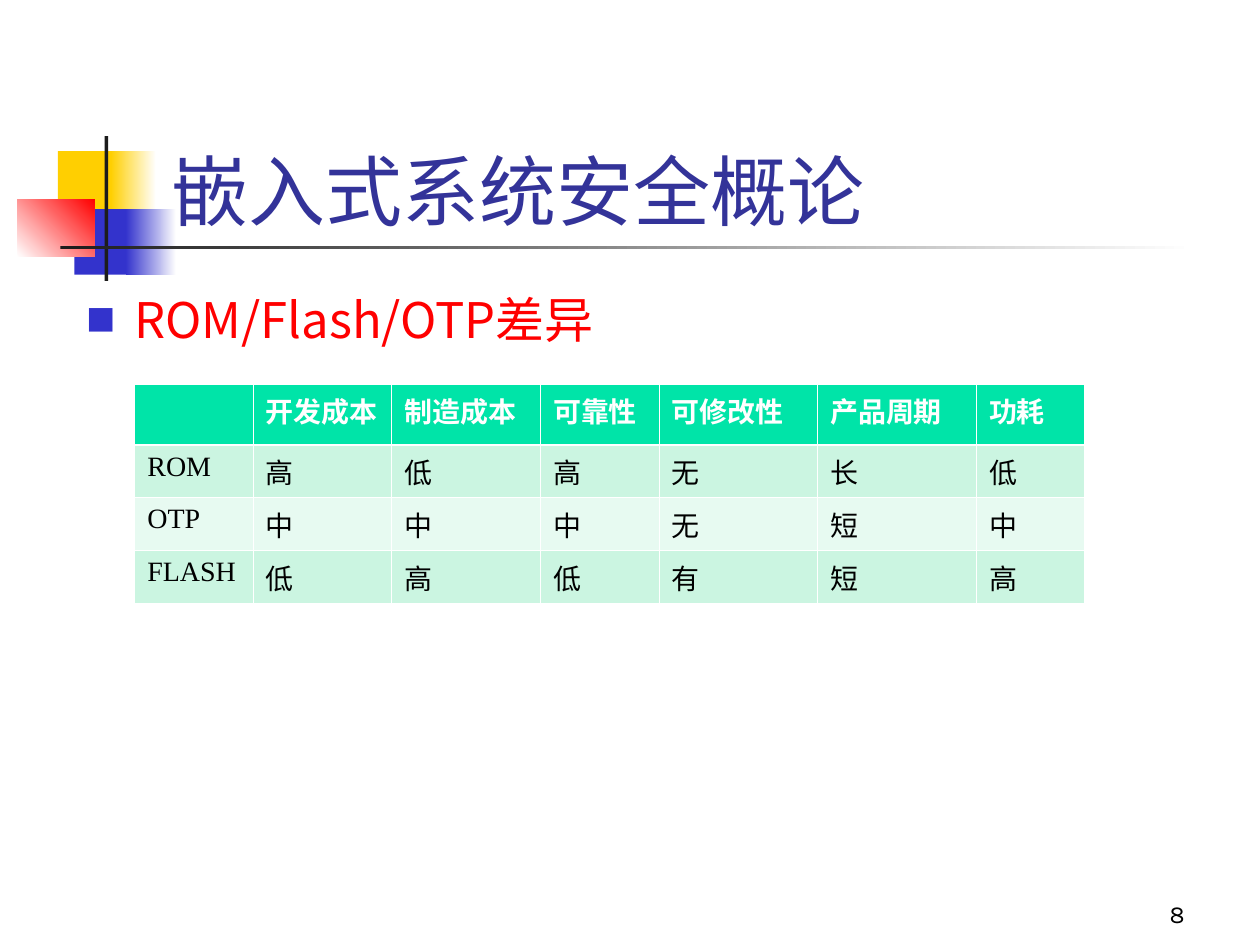
from dataclasses import dataclass

from lxml.etree import SubElement
from pptx import Presentation
from pptx.dml.color import RGBColor
from pptx.enum.shapes import MSO_SHAPE
from pptx.enum.text import MSO_ANCHOR, PP_ALIGN
from pptx.oxml import parse_xml
from pptx.oxml.ns import nsdecls, qn
from pptx.util import Pt

PX = 9144  # EMU per px, 100 px to the inch


@dataclass(frozen=True)
class Theme:
    yellow: str = "FFCF01"
    blue: str = "3333CC"
    red: str = "FF0000"
    dark: str = "1C1C1C"
    white: str = "FFFFFF"
    black: str = "000000"
    title: str = "333399"
    header: str = "00E4A8"
    bands: tuple = ("CBF5E1", "E7FAF1")
    sans: str = "Noto Sans CJK SC"
    serif: str = "Times New Roman"
    number: str = "Karla"
    title_size: int = 44
    topic_size: int = 28
    table_size: int = 16
    number_size: int = 14


THEME = Theme()


def px(*lengths):
    return [length * PX for length in lengths]


def write(frame, text, *, size, color, font, bold=False,
          align=PP_ALIGN.LEFT, anchor=MSO_ANCHOR.TOP):
    frame.word_wrap = True
    frame.vertical_anchor = anchor
    paragraph = frame.paragraphs[0]
    paragraph.alignment = align
    run = paragraph.add_run()
    run.text = text
    run.font.size = Pt(size)
    run.font.bold = bold
    run.font.color.rgb = RGBColor.from_string(color)
    run.font.name = font
    SubElement(run.font._element, qn("a:ea"), typeface=THEME.sans)
    return paragraph


def add_block(slide, box, start, end=None, angle=0):
    """Borderless rectangle, solid or fading from start to end."""
    block = slide.shapes.add_shape(MSO_SHAPE.RECTANGLE, *px(*box))
    block.shadow.inherit = False
    block.line.fill.background()
    if end is None:
        block.fill.solid()
        block.fill.fore_color.rgb = RGBColor.from_string(start)
        return
    block.fill.gradient()
    block.fill.gradient_angle = angle
    for stop, color in zip(block.fill.gradient_stops, (start, end)):
        stop.color.rgb = RGBColor.from_string(color)


def add_ornament(slide, left, top):
    t = THEME
    blocks = [
        ((32, 12, 48, 52), t.yellow),
        ((74, 12, 36, 52), t.yellow, t.white),
        ((45, 58, 46, 52), t.blue),
        ((86, 58, 40, 52), t.blue, t.white),
        ((0, 50, 61, 46), t.white, t.red, 45),
        ((69, 0, 3, 115), t.dark),
        ((34, 87, 900, 3), t.dark, t.white),
    ]
    for (x, y, width, height), *colors in blocks:
        add_block(slide, (left + x, top + y, width, height), *colors)


def add_title(slide, box, text):
    title = slide.shapes.title
    title.left, title.top, title.width, title.height = px(*box)
    write(title.text_frame, text, size=THEME.title_size, color=THEME.title,
          font=THEME.sans, anchor=MSO_ANCHOR.BOTTOM)


def add_topic(slide, box, text):
    topic = slide.shapes.add_textbox(*px(*box))
    paragraph = write(topic.text_frame, text, size=THEME.topic_size,
                      color=THEME.red, font=THEME.sans)
    # Square bullet with a hanging indent
    properties = paragraph._p.get_or_add_pPr()
    properties.set("marL", str(38 * PX))
    properties.set("indent", str(-38 * PX))
    bullet_color = SubElement(properties, qn("a:buClr"))
    SubElement(bullet_color, qn("a:srgbClr"), val=THEME.blue)
    SubElement(properties, qn("a:buSzPct"), val="60000")
    SubElement(properties, qn("a:buFont"), typeface=THEME.sans)
    SubElement(properties, qn("a:buChar"), char="■")


def set_borders(cell, **widths):
    properties = cell._tc.get_or_add_tcPr()
    for index, (side, width) in enumerate(widths.items()):
        properties.insert(index, parse_xml(
            f'<a:ln{side} {nsdecls("a")} w="{int(Pt(width))}"><a:solidFill>'
            f'<a:srgbClr val="{THEME.white}"/></a:solidFill></a:ln{side}>'))


def add_comparison(slide, left, top, columns, row_heights, rows):
    box = px(left, top, sum(columns), sum(row_heights))
    table = slide.shapes.add_table(len(rows), len(columns), *box).table
    for column, width in zip(table.columns, columns):
        column.width = width * PX
    for row, height in zip(table.rows, row_heights):
        row.height = height * PX

    thin, thick = 0.45, 1.47
    for r, values in enumerate(rows):
        is_header = r == 0
        fill = THEME.header if is_header else THEME.bands[(r - 1) % 2]
        for c, value in enumerate(values):
            cell = table.cell(r, c)
            cell.fill.solid()
            cell.fill.fore_color.rgb = RGBColor.from_string(fill)
            set_borders(cell, L=thin, R=thin, T=thick if r == 1 else thin,
                        B=thick if is_header else thin)
            if value:
                write(cell.text_frame, value, size=THEME.table_size,
                      color=THEME.white if is_header else THEME.black,
                      font=THEME.serif, bold=is_header)


def add_page_number(slide, box, number):
    page = slide.shapes.add_textbox(*px(*box))
    write(page.text_frame, number, size=THEME.number_size, color=THEME.black,
          font=THEME.number, align=PP_ALIGN.RIGHT, anchor=MSO_ANCHOR.BOTTOM)


def main():
    deck = Presentation()
    deck.slide_width, deck.slide_height = px(1000, 750)
    slide = deck.slides.add_slide(deck.slide_layouts[5])

    add_ornament(slide, 14, 108)
    add_title(slide, (126, 67, 852, 125), "嵌入式系统安全概论")
    add_topic(slide, (59, 225, 920, 445), "ROM/Flash/OTP差异")
    add_comparison(
        slide, 107, 305,
        columns=[94, 110, 118, 94, 126, 126, 86],
        row_heights=[48, 42, 42, 42],
        rows=[
            ["", "开发成本", "制造成本", "可靠性", "可修改性", "产品周期", "功耗"],
            ["ROM", "高", "低", "高", "无", "长", "低"],
            ["OTP", "中", "中", "中", "无", "短", "中"],
            ["FLASH", "低", "高", "低", "有", "短", "高"],
        ],
    )
    add_page_number(slide, (742, 692, 208, 50), "8")
    deck.save("out.pptx")


if __name__ == "__main__":
    main()
